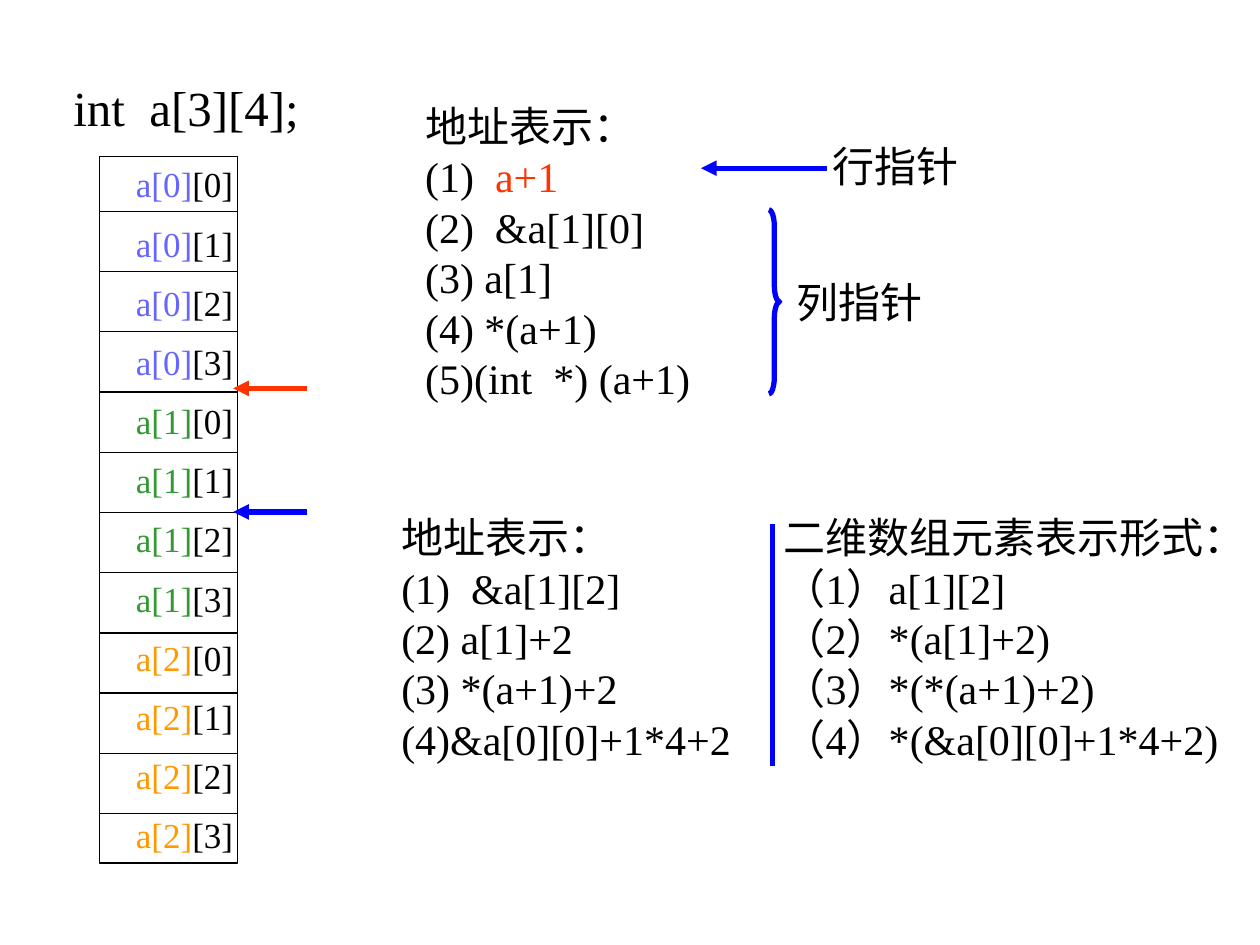
"""Build a slide on address forms of a two-dimensional array."""
import pptx
import pptx.dml.color
import pptx.enum.shapes
import pptx.enum.text
import pptx.oxml
import pptx.oxml.ns
import pptx.util

Cm = pptx.util.Cm
ANCHOR = pptx.enum.text.MSO_ANCHOR
ALIGN = pptx.enum.text.PP_ALIGN

COLORS = {
    "black": "000000", "red": "FF3300", "blue": "0000FF",
    "row0": "6666FF", "row1": "339933", "row2": "FF9900",
}
FONT = "Times New Roman"

DECLARATION = [[("int  a[3][4];", "black")]]
ROW_COUNT, COLUMN_COUNT = 3, 4
ELEMENTS = [
    [[(f"a[{row}]", f"row{row}"), (f"[{column}]", "black")]]
    for row in range(ROW_COUNT) for column in range(COLUMN_COUNT)
]
ROW_ADDRESSES = [
    [("地址表示：", "black")],
    [("(1)  ", "black"), ("a+1", "red")],
    [("(2)  &a[1][0]", "black")],
    [("(3) a[1]", "black")],
    [("(4) *(a+1)", "black")],
    [("(5)(int  *) (a+1)", "black")],
]
ELEMENT_ADDRESSES = [
    [("地址表示：", "black")],
    [("(1)  &a[1][2]", "black")],
    [("(2) a[1]+2", "black")],
    [("(3) *(a+1)+2", "black")],
    [("(4)&a[0][0]+1*4+2", "black")],
]
ELEMENT_FORMS = [
    [("二维数组元素表示形式：", "black")],
    [("（1）a[1][2]", "black")],
    [("（2）*(a[1]+2)", "black")],
    [("（3）*(*(a+1)+2)", "black")],
    [("（4）*(&a[0][0]+1*4+2)", "black")],
]
TEXTS = [
    (DECLARATION, (1.23, 1.43, 5.1, 1.45), {"size": 28}),
    (ROW_ADDRESSES, (8.32, 1.9, 5.94, 6.35), {"anchor": ANCHOR.MIDDLE}),
    (ELEMENT_ADDRESSES, (7.84, 10.19, 7.24, 5.33), {"anchor": ANCHOR.MIDDLE}),
    (ELEMENT_FORMS, (15.55, 10.19, 9.95, 5.33), {}),
]
POINTER_NAMES = [("行指针", (16.52, 2.7)), ("列指针", (15.81, 5.44))]
ARROWS = [
    ((6.19, 7.83), (4.7, 7.83), "red"),
    ((16.67, 3.39), (14.13, 3.39), "blue"),
    ((6.19, 10.32), (4.7, 10.32), "blue"),
]
SEPARATOR = ((15.58, 10.56), (15.58, 15.44), "blue")

MEMORY = (2.0, 3.15, 2.79, 14.25)
DIVIDER_LEFT, DIVIDER_RIGHT = 2.02, 4.8
FIRST_DIVIDER, LAST_DIVIDER = 4.26, 16.4
FIRST_LABEL, LAST_LABEL = 3.16, 16.28
LABEL_LEFT, LABEL_WIDTH, LABEL_HEIGHT = 2.49, 2.56, 1.12
BRACE = (15.5, 4.23, 0.22, 3.71)


def color(name):
    return pptx.dml.color.RGBColor.from_string(COLORS[name])


def spread(first, last, count):
    return [first + (last - first) * i / (count - 1) for i in range(count)]


def add_text(slide, paragraphs, box, size=24, anchor=ANCHOR.TOP, align=ALIGN.LEFT):
    frame = slide.shapes.add_textbox(*map(Cm, box)).text_frame
    frame.word_wrap = False
    frame.auto_size = pptx.enum.text.MSO_AUTO_SIZE.SHAPE_TO_FIT_TEXT
    frame.vertical_anchor = anchor
    for index, pieces in enumerate(paragraphs):
        paragraph = frame.add_paragraph() if index else frame.paragraphs[0]
        paragraph.alignment = align
        for words, tint in pieces:
            run = paragraph.add_run()
            run.text = words
            run.font.name = FONT
            run.font.size = pptx.util.Pt(size)
            run.font.color.rgb = color(tint)


def add_line(slide, start, end, tint, width=3.0, arrow=False):
    line = slide.shapes.add_connector(
        pptx.enum.shapes.MSO_CONNECTOR.STRAIGHT, *map(Cm, start + end))
    line.line.color.rgb = color(tint)
    line.line.width = pptx.util.Pt(width)
    if arrow:
        head = pptx.oxml.parse_xml(
            f'<a:tailEnd {pptx.oxml.ns.nsdecls("a")} type="triangle"/>')
        line.line._get_or_add_ln().append(head)
    line._element.spPr.append(
        pptx.oxml.parse_xml(f'<a:effectLst {pptx.oxml.ns.nsdecls("a")}/>'))


def add_outline(slide, preset, box, tint, width):
    outline = slide.shapes.add_shape(preset, *map(Cm, box))
    outline.shadow.inherit = False
    outline.fill.background()
    outline.line.color.rgb = color(tint)
    outline.line.width = pptx.util.Pt(width)
    return outline


def main():
    deck = pptx.Presentation()
    deck.slide_width, deck.slide_height = Cm(25.4), Cm(19.05)
    slide = deck.slides.add_slide(deck.slide_layouts[6])
    presets = pptx.enum.shapes.MSO_SHAPE

    add_outline(slide, presets.RECTANGLE, MEMORY, "black", 0.75)
    for y in spread(FIRST_DIVIDER, LAST_DIVIDER, len(ELEMENTS) - 1):
        add_line(slide, (DIVIDER_LEFT, y), (DIVIDER_RIGHT, y), "black", 0.75)
    label_tops = spread(FIRST_LABEL, LAST_LABEL, len(ELEMENTS))
    for element, top in zip(ELEMENTS, label_tops):
        add_text(slide, element, (LABEL_LEFT, top, LABEL_WIDTH, LABEL_HEIGHT), size=20)

    for paragraphs, box, style in TEXTS:
        add_text(slide, paragraphs, box, **style)
    for name, corner in POINTER_NAMES:
        add_text(slide, [[(name, "black")]], corner + (3.05, 1.27),
                 anchor=ANCHOR.MIDDLE, align=ALIGN.CENTER)

    for start, end, tint in ARROWS:
        add_line(slide, start, end, tint, arrow=True)
    add_line(slide, *SEPARATOR)
    brace = add_outline(slide, presets.RIGHT_BRACE, BRACE, "blue", 3)
    brace.adjustments[0] = 1.5

    deck.save("out.pptx")


if __name__ == "__main__":
    main()
